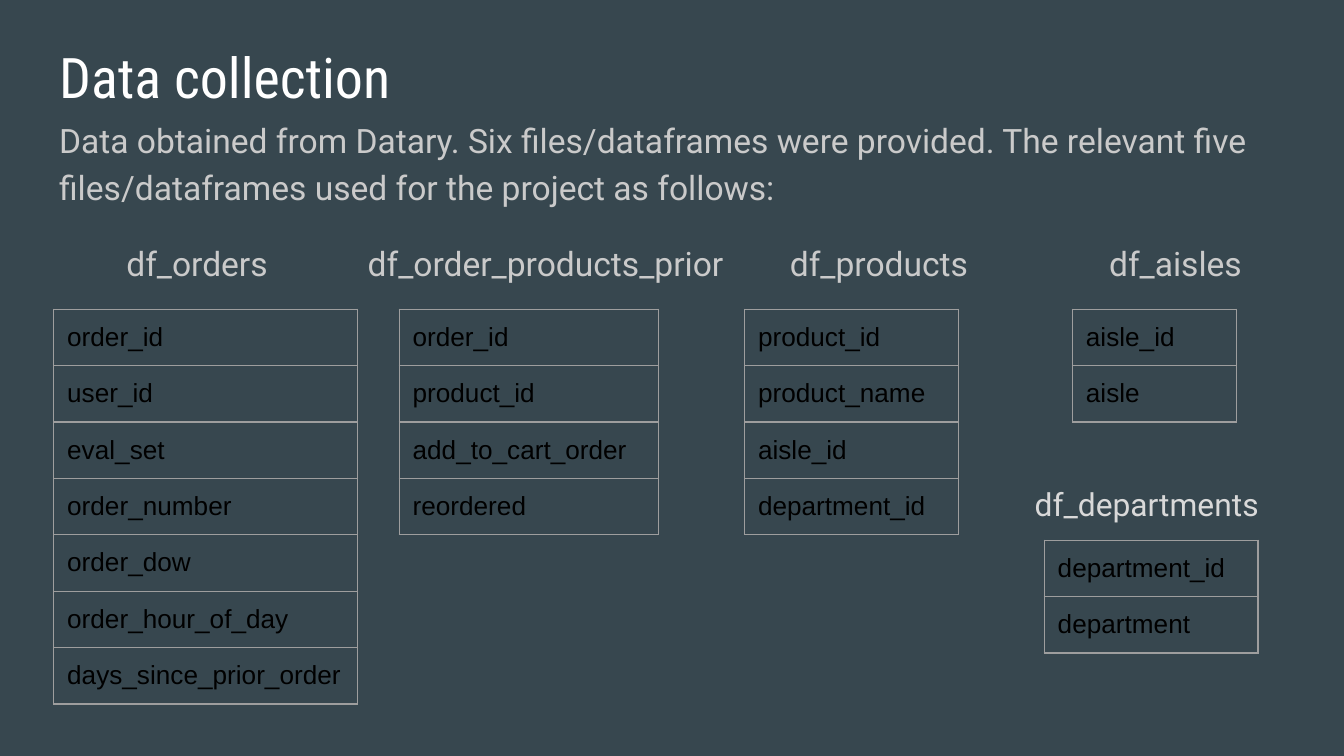
from dataclasses import dataclass

from lxml.etree import SubElement
from pptx import Presentation
from pptx.dml.color import RGBColor
from pptx.enum.text import MSO_ANCHOR, MSO_AUTO_SIZE, PP_ALIGN
from pptx.oxml.ns import qn
from pptx.util import Inches, Pt

COLORS = {
    "background": "37474F",
    "title": "FFFFFF",
    "body": "CACACA",
    "label": "D9D9D9",
    "cell": "000000",
    "border": "9E9E9E",
}
ROW_HEIGHT = 0.42
PADDING = 0.1
BODY_LEFT = 0.34
NAMES_INDENT = 0.5


@dataclass
class TextStyle:
    """Font name, size in points and colour key."""

    font: str
    size: float
    color: str


@dataclass
class Dataframe:
    """A dataframe's column names and the place of its table in inches."""

    left: float
    top: float
    width: float
    columns: list[str]


@dataclass
class Heading:
    """A dataframe name and the extra gap after it in points."""

    name: str
    gap: int


TITLE = TextStyle("Roboto Condensed", 30, "title")
BODY = TextStyle("Roboto", 18, "body")
LABEL = TextStyle("Roboto", 17, "label")
CELL = TextStyle("Arial", 14, "cell")

INTRO = (
    "Data obtained from Datary. Six files/dataframes were provided. "
    "The relevant five files/dataframes used for the project as follows:"
)
HEADINGS = [
    Heading("df_orders", 49),
    Heading("df_order_products_prior", 31),
    Heading("df_products", 71),
    Heading("df_aisles", 0),
]
DATAFRAMES = [
    Dataframe(0.4, 2.3, 2.26, [
        "order_id", "user_id", "eval_set", "order_number", "order_dow",
        "order_hour_of_day", "days_since_prior_order",
    ]),
    Dataframe(2.97, 2.3, 1.93, ["order_id", "product_id", "add_to_cart_order", "reordered"]),
    Dataframe(5.54, 2.3, 1.59, ["product_id", "product_name", "aisle_id", "department_id"]),
    Dataframe(7.98, 2.3, 1.22, ["aisle_id", "aisle"]),
    Dataframe(7.77, 4.02, 1.59, ["department_id", "department"]),
]


def color(key: str) -> RGBColor:
    """Look up a colour by its role."""
    return RGBColor.from_string(COLORS[key])


def set_all(target, **values) -> None:
    """Set several attributes of one object."""
    for name, value in values.items():
        setattr(target, name, value)


def place(box, left: float, top: float, width: float, height: float) -> None:
    """Move and size a shape in inches."""
    set_all(box, left=Inches(left), top=Inches(top), width=Inches(width), height=Inches(height))


def pad(target) -> None:
    """Give a text frame or a cell equal margins."""
    for side in ("left", "top", "right", "bottom"):
        setattr(target, f"margin_{side}", Inches(PADDING))


def prepare_frame(box) -> None:
    """Make a text frame wrap, start at the top and keep its size."""
    frame = box.text_frame
    pad(frame)
    set_all(frame, word_wrap=True, auto_size=MSO_AUTO_SIZE.NONE, vertical_anchor=MSO_ANCHOR.TOP)


def write(paragraph, text: str, style: TextStyle):
    """Add one left-aligned span in a style and return it."""
    paragraph.alignment = PP_ALIGN.LEFT
    span = paragraph.add_run()
    span.text = text
    set_all(span.font, name=style.font, size=Pt(style.size), bold=False)
    span.font.color.rgb = color(style.color)
    return span


def format_plain(paragraph, space_before: float, indent: float) -> None:
    """Space a paragraph and replace its bullet with a left indent in inches."""
    set_all(paragraph, line_spacing=1.15, space_before=Pt(space_before))
    properties = paragraph._p.get_or_add_pPr()
    properties.set("marL", str(Inches(indent)))
    properties.set("indent", "0")
    SubElement(properties, qn("a:buNone"))


def add_body(box) -> None:
    """Write the introduction and the row of dataframe names."""
    prepare_frame(box)
    intro = box.text_frame.paragraphs[0]
    write(intro, INTRO, BODY)
    format_plain(intro, 0, 0)
    names = box.text_frame.add_paragraph()
    for heading in HEADINGS:
        write(names, heading.name, BODY)
        if heading.gap:
            space = write(names, " ", BODY)
            space._r.get_or_add_rPr().set("spc", str(heading.gap * 100))
    format_plain(names, 16, NAMES_INDENT)


def add_borders(cell) -> None:
    """Draw a thin line on each side of a cell."""
    properties = cell._tc.get_or_add_tcPr()
    for position, side in enumerate(("lnL", "lnR", "lnT", "lnB")):
        line = SubElement(properties, qn(f"a:{side}"), w=str(Pt(0.75)))
        fill = SubElement(line, qn("a:solidFill"))
        SubElement(fill, qn("a:srgbClr"), val=COLORS["border"])
        properties.insert(position, line)


def add_dataframe(page, dataframe: Dataframe) -> None:
    """Add a one-column table that lists a dataframe's columns."""
    count = len(dataframe.columns)
    table = page.shapes.add_table(
        count, 1, Inches(dataframe.left), Inches(dataframe.top),
        Inches(dataframe.width), Inches(ROW_HEIGHT * count),
    ).table
    set_all(table, first_row=False, horz_banding=False)
    for row, name in zip(table.rows, dataframe.columns):
        row.height = Inches(ROW_HEIGHT)
        cell = row.cells[0]
        pad(cell)
        cell.fill.background()
        write(cell.text_frame.paragraphs[0], name, CELL)
        add_borders(cell)


def main() -> None:
    """Build the data collection slide."""
    deck = Presentation()
    set_all(deck, slide_width=Inches(10), slide_height=Inches(10 * 9 / 16))
    page = deck.slides.add_slide(deck.slide_layouts[1])
    page.background.fill.solid()
    page.background.fill.fore_color.rgb = color("background")

    title, body = page.placeholders
    place(title, BODY_LEFT, 0.22, 9.32, 0.63)
    prepare_frame(title)
    write(title.text_frame.paragraphs[0], "Data collection", TITLE)
    place(body, BODY_LEFT, 0.75, 9.32, 4.81)
    add_body(body)

    for dataframe in DATAFRAMES:
        add_dataframe(page, dataframe)

    label = page.shapes.add_textbox(Inches(7.6), Inches(3.51), Inches(1.93), Inches(0.33))
    prepare_frame(label)
    write(label.text_frame.paragraphs[0], "df_departments", LABEL)
    deck.save("out.pptx")


if __name__ == "__main__":
    main()
